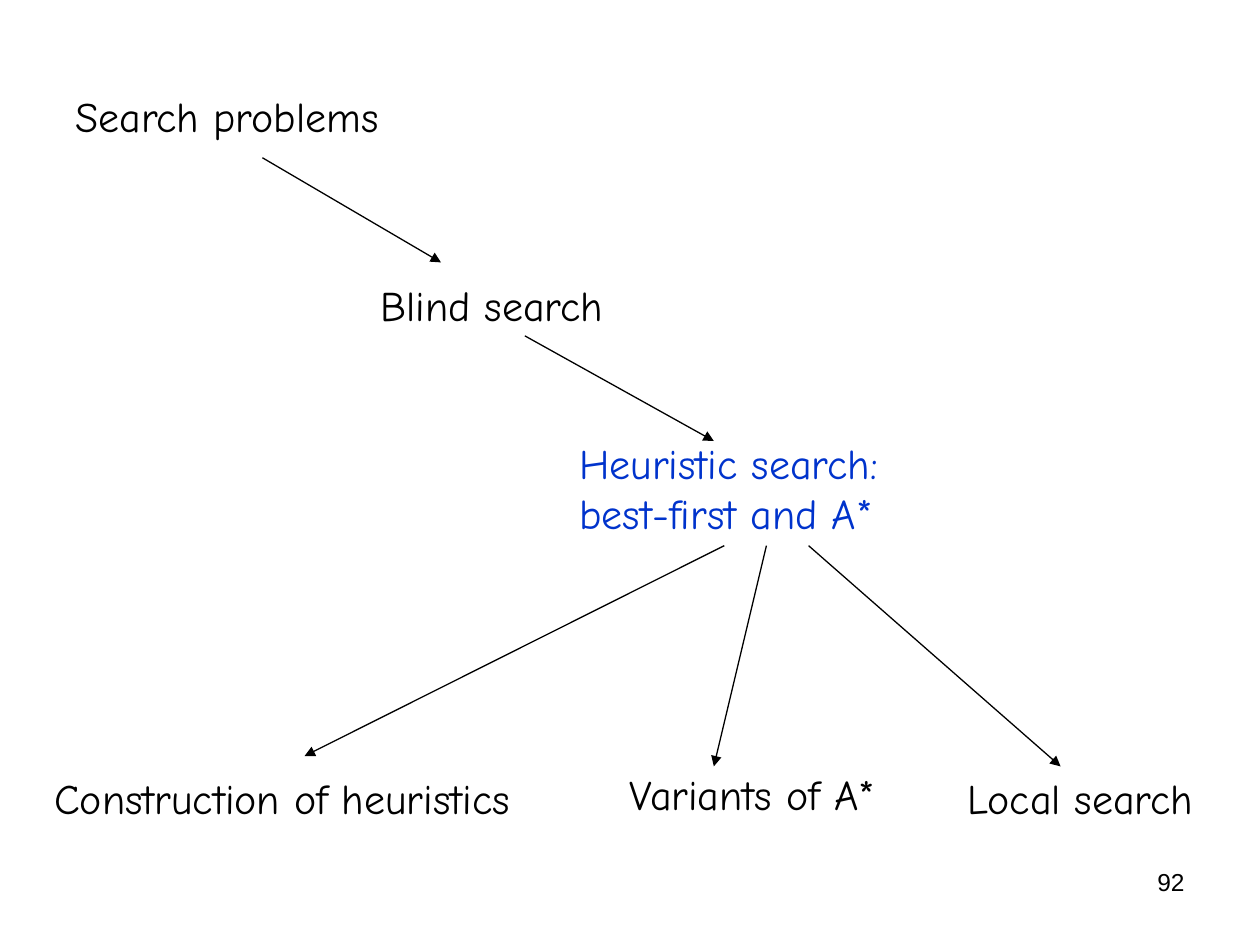
from dataclasses import dataclass

import lxml.etree
import pptx
import pptx.dml.color
import pptx.enum.shapes
import pptx.enum.text
import pptx.oxml.ns
import pptx.util
from pptx.util import Cm

BLACK = "000000"
BLUE = "0033CC"


@dataclass
class Label:
    text: str
    left: float
    top: float
    width: float
    height: float = 1.27
    color: str = BLACK
    size: int = 24
    font: str = "Comic Neue"
    fit: bool = True
    align: pptx.enum.text.PP_ALIGN | None = None


@dataclass
class Arrow:
    x1: float
    y1: float
    x2: float
    y2: float


LABELS = [
    Label("Search problems", 1.27, 1.7, 7.14),
    Label("Blind search", 7.42, 5.51, 5.36),
    Label("Heuristic search: \vbest-first and A*", 11.43, 8.69, 7.57, 2.29, BLUE),
    Label("Construction of heuristics", 0.84, 15.44, 10.85),
    Label("Variants of A*", 12.45, 15.37, 6.27),
    Label("Local search", 19.25, 15.44, 5.41),
    Label("92", 18.21, 17.35, 5.92, 1.32, size=14, font="Arial", fit=False,
          align=pptx.enum.text.PP_ALIGN.RIGHT),
]

ARROWS = [
    Arrow(5.29, 3.18, 8.89, 5.29),
    Arrow(10.58, 6.77, 14.39, 8.89),
    Arrow(14.6, 11.0, 6.14, 15.24),
    Arrow(15.45, 11.0, 14.39, 15.45),
    Arrow(16.3, 11.0, 21.38, 15.45),
]


def rgb(color: str) -> pptx.dml.color.RGBColor:
    return pptx.dml.color.RGBColor.from_string(color)


def add_label(s: pptx.slide.Slide, label: Label) -> None:
    sp = s.shapes.add_textbox(Cm(label.left), Cm(label.top),
                              Cm(label.width), Cm(label.height))
    tf = sp.text_frame
    tf.text = label.text
    tf.word_wrap = not label.fit
    if label.fit:
        tf.auto_size = pptx.enum.text.MSO_AUTO_SIZE.SHAPE_TO_FIT_TEXT
    p = tf.paragraphs[0]
    p.alignment = label.align
    for r in p.runs:
        r.font.name = label.font
        r.font.size = pptx.util.Pt(label.size)
        r.font.color.rgb = rgb(label.color)


def add_arrow(s: pptx.slide.Slide, arrow: Arrow) -> None:
    sp = s.shapes.add_connector(pptx.enum.shapes.MSO_CONNECTOR.STRAIGHT,
                                Cm(arrow.x1), Cm(arrow.y1),
                                Cm(arrow.x2), Cm(arrow.y2))
    sp.line.color.rgb = rgb(BLACK)
    sp.line.width = pptx.util.Pt(0.75)
    qn = pptx.oxml.ns.qn
    ln = sp.line._get_or_add_ln()
    lxml.etree.SubElement(ln, qn("a:tailEnd"), type="triangle")
    lxml.etree.SubElement(ln.getparent(), qn("a:effectLst"))


def main() -> None:
    prs = pptx.Presentation()
    prs.slide_width, prs.slide_height = Cm(25.4), Cm(19.05)
    s = prs.slides.add_slide(prs.slide_layouts[6])
    for label in LABELS:
        add_label(s, label)
    for arrow in ARROWS:
        add_arrow(s, arrow)
    prs.save("out.pptx")


if __name__ == "__main__":
    main()
